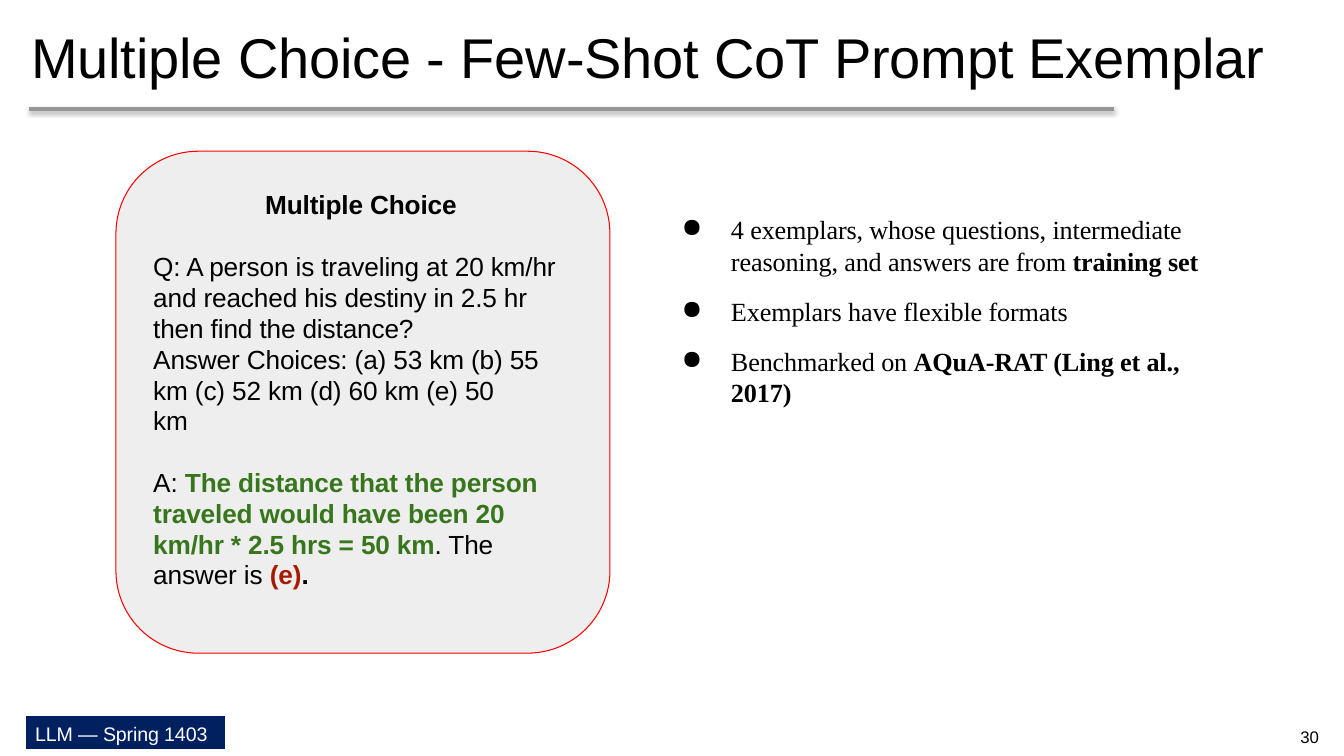
import pptx
import pptx.util
import pptx.dml.color
import pptx.enum.shapes
import pptx.enum.text
import pptx.oxml
import pptx.oxml.ns

Inches = pptx.util.Inches
Pt = pptx.util.Pt
ALIGN = pptx.enum.text.PP_ALIGN
ANCHOR = pptx.enum.text.MSO_ANCHOR
SHAPE = pptx.enum.shapes.MSO_SHAPE
BLACK, WHITE, GREEN, RED = "000000", "FFFFFF", "37761C", "A61B00"
SANS, SERIF = "Arial", "Times New Roman"

QUESTION = ("Q: A person is traveling at 20 km/hr and reached his destiny "
            "in 2.5 hr then find the distance?")
CHOICES = "Answer Choices: (a) 53 km (b) 55 km (c) 52 km (d) 60 km (e) 50\vkm"
ANSWER = [
    ("A: ", {}),
    ("The distance that the person traveled would have been 20 km/hr "
     "* 2.5 hrs = 50 km", {"bold": True, "color": GREEN}),
    (". The answer is ", {}),
    ("(e)", {"bold": True, "color": RED}),
    (".", {"bold": True}),
]
EXEMPLAR = [
    ([("Multiple Choice", {"bold": True})], {"alignment": ALIGN.CENTER}),
    ([(QUESTION, {})], {"line_spacing": Pt(22), "space_before": Pt(22.5)}),
    ([(CHOICES, {})], {"line_spacing": Pt(22)}),
    (ANSWER, {"line_spacing": Pt(22), "space_before": Pt(22)}),
]
NOTES = [
    [("4 exemplars, whose questions, intermediate reasoning, "
      "and answers are from ", {}), ("training set", {"bold": True})],
    [("Exemplars have flexible formats", {})],
    [("Benchmarked on ", {}), ("AQuA-RAT (Ling et al., 2017)", {"bold": True})],
]


def rgb(value):
    """Turn a hex string into a colour."""
    return pptx.dml.color.RGBColor.from_string(value)


def apply_format(target, values):
    """Set each named attribute on the target."""
    for key, value in values.items():
        setattr(target, key, value)


def append_xml(parent, markup):
    """Append a DrawingML element to the parent."""
    namespace = pptx.oxml.ns.nsdecls("a")
    parent.append(pptx.oxml.parse_xml(markup.replace(" ", f" {namespace} ", 1)))


def prepare_frame(frame, anchor=ANCHOR.TOP, left=0.0):
    """Give a text frame wrapping, an anchor and narrow margins."""
    apply_format(frame, {
        "word_wrap": True, "auto_size": pptx.enum.text.MSO_AUTO_SIZE.NONE,
        "vertical_anchor": anchor, "margin_left": Inches(left), "margin_right": 0,
        "margin_top": Inches(0.02), "margin_bottom": 0})


def write_runs(paragraph, runs, size, font=SANS, color=BLACK):
    """Write runs with their own formats, breaking lines at vertical tabs."""
    for words, style in runs:
        for index, part in enumerate(words.split("\v")):
            if index:
                paragraph.add_line_break()
            run = paragraph.add_run()
            run.text = part
            apply_format(run.font, {"name": font, "size": Pt(size),
                                    "bold": style.get("bold", False)})
            run.font.color.rgb = rgb(style.get("color", color))
            run.font._element.set("spc", "-10")


def next_paragraph(frame, index):
    """Return the first paragraph, or a new one after it."""
    return frame.add_paragraph() if index else frame.paragraphs[0]


def add_panel(slide, kind, box, fill, outline):
    """Draw a filled shape with a thin outline."""
    panel = slide.shapes.add_shape(kind, *map(Inches, box))
    panel.shadow.inherit = False
    panel.fill.solid()
    panel.fill.fore_color.rgb = rgb(fill)
    panel.line.color.rgb = rgb(outline)
    panel.line.width = Pt(0.75)
    return panel


def add_heading(slide, box):
    """Place the title and the shadowed rule along its lower edge."""
    left, top, width, height = box
    title = slide.shapes.title
    apply_format(title, dict(zip(("left", "top", "width", "height"), map(Inches, box))))
    prepare_frame(title.text_frame, ANCHOR.MIDDLE, 0.02)
    paragraph = title.text_frame.paragraphs[0]
    paragraph.alignment = ALIGN.LEFT
    write_runs(paragraph, [("Multiple Choice - Few-Shot CoT Prompt Exemplar", {})], 40)

    rule_y = Inches(top + height)
    rule = slide.shapes.add_connector(
        pptx.enum.shapes.MSO_CONNECTOR.STRAIGHT,
        Inches(left), rule_y, Inches(left + 10.76), rule_y)
    rule.line.color.rgb = rgb("969696")
    rule.line.width = Pt(3)
    append_xml(rule._element.spPr, (
        f'<a:effectLst ><a:outerShdw blurRad="{Pt(3.1)}" dist="{Pt(1.8)}" dir="5400000">'
        '<a:srgbClr val="000000"><a:alpha val="35000"/></a:srgbClr>'
        '</a:outerShdw></a:effectLst>'))


def add_exemplar(slide, box):
    """Place the rounded card with the worked question and answer."""
    left, top, width, height = box
    add_panel(slide, SHAPE.ROUNDED_RECTANGLE, box, "EEEEEE", "FF0000")
    frame = slide.shapes.add_textbox(
        Inches(left + 0.35), Inches(top + 0.35),
        Inches(width - 0.76), Inches(height - 1.22)).text_frame
    prepare_frame(frame, left=0.02)
    for index, (runs, layout) in enumerate(EXEMPLAR):
        paragraph = next_paragraph(frame, index)
        apply_format(paragraph, layout)
        write_runs(paragraph, runs, 18.7)


def add_notes(slide, box):
    """Place the bulleted remarks."""
    frame = slide.shapes.add_textbox(*map(Inches, box)).text_frame
    prepare_frame(frame)
    for index, runs in enumerate(NOTES):
        paragraph = next_paragraph(frame, index)
        if index:
            paragraph.space_before = Pt(13.3)
        properties = paragraph._p.get_or_add_pPr()
        properties.set("marL", str(Inches(0.51)))
        properties.set("indent", str(Inches(-0.49)))
        append_xml(properties, '<a:buChar char="●"/>')
        write_runs(paragraph, runs, 18.7, SERIF)


def add_footer(slide, box):
    """Place the course label and the page number across the strip."""
    left, top, width, height = box
    label = add_panel(slide, SHAPE.RECTANGLE, (left, top, 1.99, height), "002060", WHITE)
    number = slide.shapes.add_textbox(
        Inches(left + width - 0.74), Inches(top), Inches(0.74), Inches(0.4))
    for part, words, inset, size, color, alignment in (
            (label, "LLM — Spring 1403", 0.1, 14, WHITE, ALIGN.LEFT),
            (number, "30", 0.06, 12, BLACK, ALIGN.CENTER)):
        prepare_frame(part.text_frame, ANCHOR.MIDDLE, inset)
        paragraph = part.text_frame.paragraphs[0]
        paragraph.alignment = alignment
        write_runs(paragraph, [(words, {})], size, color=color)


def main():
    """Build the slide and save it."""
    deck = pptx.Presentation()
    apply_format(deck, {"slide_width": Inches(13.33), "slide_height": Inches(7.5)})
    slide = deck.slides.add_slide(deck.slide_layouts[5])
    add_heading(slide, (0.29, 0.02, 12.75, 1.06))
    add_exemplar(slide, (1.15, 1.5, 4.9, 4.98))
    add_notes(slide, (6.74, 2.1, 5.21, 1.95))
    add_footer(slide, (0.25, 7.1, 13.08, 0.34))
    deck.save("out.pptx")


if __name__ == "__main__":
    main()
